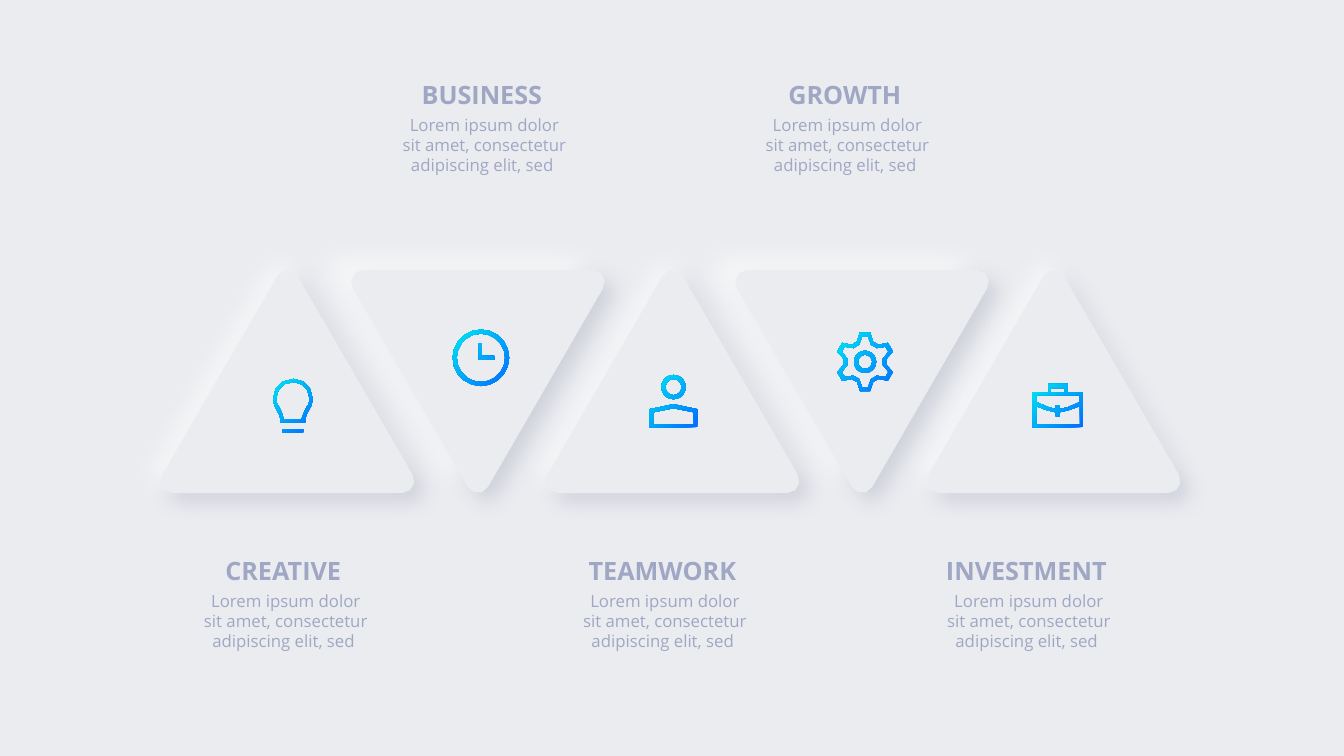
from dataclasses import dataclass
from math import cos, pi, sin
from typing import Any

from lxml.etree import SubElement
from pptx import Presentation
from pptx.dml.color import RGBColor
from pptx.enum.text import MSO_AUTO_SIZE, PP_ALIGN
from pptx.oxml.ns import qn
from pptx.util import Inches, Pt

Point = tuple[float, float]
Contour = list[Point]

BACKGROUND = "EBECF0"
TEXT_COLOR = "9FA7C4"
GRADIENT = ("006EFF", "00E6F2")
DESCRIPTION = "Lorem ipsum dolor sit amet, consectetur adipiscing elit, sed "
TRIANGLE_TOP, TRIANGLE_BOTTOM = 2.68, 4.89
CURVE_STEPS = 3
CIRCLE_STEPS = 20


@dataclass
class Shadow:
    color: str
    opacity: int
    blur: int
    distance: int
    angle: int


@dataclass
class Step:
    title: str
    text_left: float
    center: float
    points_up: bool
    icon: list[Contour]


DARK_SHADOW = Shadow("ACB0C0", 42, 14, 9, 45)
UP_LIGHT = Shadow("FFFFFF", 56, 17, 9, 225)
DOWN_LIGHT = Shadow("FFFFFF", 56, 18, 19, 210)


def rgb(color: str) -> RGBColor:
    return RGBColor.from_string(color)


def curve(*controls: Point) -> Contour:
    points = []
    for step in range(CURVE_STEPS + 1):
        t = step / CURVE_STEPS
        weights = ((1 - t) ** 3, 3 * t * (1 - t) ** 2, 3 * t * t * (1 - t), t ** 3)
        points.append((sum(w * x for w, (x, y) in zip(weights, controls)),
                       sum(w * y for w, (x, y) in zip(weights, controls))))
    return points


def joined_curves(*controls: Point) -> Contour:
    points = [controls[0]]
    for k in range(0, len(controls) - 1, 3):
        points += curve(*controls[k:k + 4])[1:]
    return points


def circle(x: float, y: float, radius: float) -> Contour:
    turns = [2 * pi * k / CIRCLE_STEPS for k in range(CIRCLE_STEPS)]
    return [(x + radius * cos(turn), y + radius * sin(turn)) for turn in turns]


def rectangle(left: float, top: float, right: float, bottom: float) -> Contour:
    return [(left, top), (right, top), (right, bottom), (left, bottom)]


def gear_outline(x: float, y: float, tooth: Contour) -> Contour:
    points = []
    for k in range(6):
        turn = k * pi / 3
        points += [(x + dx * cos(turn) - dy * sin(turn), y + dx * sin(turn) + dy * cos(turn))
                   for dx, dy in tooth]
    return points


def triangle(center: float, points_up: bool) -> Contour:
    right_corner = curve((1.24, 4.71), (1.29, 4.79), (1.23, 4.89), (1.14, 4.89))
    left_corner = [(-x, y) for x, y in reversed(right_corner)]
    apex = curve((-0.1, 2.74), (-0.06, 2.66), (0.06, 2.66), (0.1, 2.74))
    return [(center + x, y if points_up else TRIANGLE_TOP + TRIANGLE_BOTTOM - y)
            for x, y in apex + right_corner + left_corner]


def add_outline(shapes: Any, contours: list[Contour]) -> Any:
    builder = None
    for contour in contours:
        points = [(Inches(x), Inches(y)) for x, y in contour]
        if builder is None:
            builder = shapes.build_freeform(*points[0])
        else:
            builder.move_to(*points[0])
        builder.add_line_segments(points[1:], close=True)
    shape = builder.convert_to_shape()
    shape.line.fill.background()
    shape.shadow.inherit = False
    return shape


def add_shadow(shape: Any, shadow: Shadow) -> None:
    effects = shape._element.spPr.find(qn("a:effectLst"))
    outer = SubElement(effects, qn("a:outerShdw"), {
        "blurRad": str(Pt(shadow.blur)), "dist": str(Pt(shadow.distance)),
        "dir": str(shadow.angle * 60000), "algn": "ctr", "rotWithShape": "0"})
    color = SubElement(outer, qn("a:srgbClr"), {"val": shadow.color})
    SubElement(color, qn("a:alpha"), {"val": str(shadow.opacity * 1000)})


def add_triangle(page: Any, step: Step) -> None:
    group = page.shapes.add_group_shape()
    for shadow in (DARK_SHADOW, UP_LIGHT if step.points_up else DOWN_LIGHT):
        shape = add_outline(group.shapes, [triangle(step.center, step.points_up)])
        shape.fill.solid()
        shape.fill.fore_color.rgb = rgb(BACKGROUND)
        add_shadow(shape, shadow)


def add_icon(page: Any, icon: list[Contour]) -> None:
    shape = add_outline(page.shapes, icon)
    shape.fill.gradient()
    shape.fill.gradient_angle = 135
    for stop, color in zip(shape.fill.gradient_stops, GRADIENT):
        stop.color.rgb = rgb(color)


def add_text(page: Any, text: str, bounds: tuple[float, float, float, float],
             frame_format: dict[str, Any], font_format: dict[str, Any]) -> None:
    box = page.shapes.add_textbox(*(Inches(value) for value in bounds))
    for name, value in frame_format.items():
        setattr(box.text_frame, name, value)
    para = box.text_frame.paragraphs[0]
    para.alignment = PP_ALIGN.CENTER
    span = para.add_run()
    span.text = text
    for name, value in font_format.items():
        setattr(span.font, name, value)
    span.font.color.rgb = rgb(TEXT_COLOR)


TITLE_FRAME = {"word_wrap": False, "auto_size": MSO_AUTO_SIZE.SHAPE_TO_FIT_TEXT,
               "margin_left": 0, "margin_top": 0, "margin_right": 0, "margin_bottom": 0}
BODY_FRAME = {"word_wrap": True, "auto_size": MSO_AUTO_SIZE.SHAPE_TO_FIT_TEXT}
TITLE_FONT = {"name": "Open Sans", "size": Pt(18), "bold": True}
BODY_FONT = {"name": "Open Sans", "size": Pt(12)}

BULB = [
    rectangle(2.8, 4.26, 3.01, 4.29),
    [(3.03, 4.19), (2.78, 4.19)] + joined_curves(
        (2.78, 4.17), (2.78, 4.15), (2.78, 4.12), (2.74, 4.06), (2.72, 4.03), (2.71, 3.99),
        (2.71, 3.95), (2.71, 3.84), (2.8, 3.76), (2.91, 3.76), (3.01, 3.76), (3.1, 3.84),
        (3.1, 3.95), (3.1, 3.99), (3.09, 4.03), (3.07, 4.06), (3.03, 4.12), (3.03, 4.15),
        (3.03, 4.17)),
    joined_curves(
        (2.99, 4.16), (3, 4.13), (3.01, 4.1), (3.04, 4.04), (3.06, 4.02), (3.07, 3.99),
        (3.07, 3.95), (3.07, 3.86), (2.99, 3.79), (2.91, 3.79), (2.81, 3.79), (2.74, 3.86),
        (2.74, 3.95), (2.74, 3.99), (2.75, 4.02), (2.77, 4.04), (2.8, 4.1), (2.81, 4.13),
        (2.81, 4.16)),
]
CLOCK = [circle(4.77, 3.55, 0.28), circle(4.77, 3.55, 0.24),
         [(4.9, 3.57), (4.75, 3.57), (4.75, 3.41), (4.78, 3.41), (4.78, 3.53), (4.9, 3.53)]]
PERSON = [
    [(6.92, 4.06), (6.68, 4.01), (6.44, 4.06), (6.44, 4.24), (6.92, 4.24)],
    [(6.88, 4.21), (6.48, 4.21), (6.48, 4.09), (6.68, 4.05), (6.88, 4.09)],
    circle(6.68, 3.84, 0.12), circle(6.68, 3.84, 0.08),
]
GEAR = [
    gear_outline(8.58, 3.59, [(0.08, 0.2), (0.05, 0.29), (-0.05, 0.29), (-0.08, 0.2)]),
    gear_outline(8.58, 3.59, [(0.06, 0.17), (0.03, 0.25), (-0.03, 0.25), (-0.06, 0.17)]),
    circle(8.58, 3.59, 0.11), circle(8.58, 3.59, 0.07),
]
BRIEFCASE = [
    [(10.74, 3.89), (10.59, 3.89), (10.59, 3.81), (10.4, 3.81), (10.4, 3.89),
     (10.24, 3.89), (10.24, 4.24), (10.74, 4.24)],
    rectangle(10.42, 3.85, 10.56, 3.89),
    [(10.28, 3.92), (10.71, 3.92), (10.71, 3.99), (10.59, 4.04), (10.51, 4.06),
     (10.51, 4.02), (10.47, 4.02), (10.47, 4.06), (10.4, 4.04), (10.28, 3.99)],
    [(10.28, 4.21), (10.28, 4.03), (10.38, 4.07), (10.47, 4.09), (10.47, 4.13),
     (10.51, 4.13), (10.51, 4.09), (10.6, 4.07), (10.71, 4.03), (10.71, 4.21)],
]
STEPS = [Step("CREATIVE", 1.91, 2.85, True, BULB), Step("BUSINESS", 3.88, 4.74, False, CLOCK),
         Step("TEAMWORK", 5.67, 6.67, True, PERSON), Step("GROWTH", 7.48, 8.55, False, GEAR),
         Step("INVESTMENT", 9.28, 10.45, True, BRIEFCASE)]

deck = Presentation()
deck.slide_width, deck.slide_height = Inches(13.33), Inches(7.5)
page = deck.slides.add_slide(deck.slide_layouts[6])
page.background.fill.solid()
page.background.fill.fore_color.rgb = rgb(BACKGROUND)
for step in STEPS:
    add_triangle(page, step)
for step in STEPS:
    top = 5.51 if step.points_up else 0.79
    add_icon(page, step.icon)
    add_text(page, step.title, (step.text_left + 0.1, top, 1.6, 0.3), TITLE_FRAME, TITLE_FONT)
    add_text(page, DESCRIPTION, (step.text_left, top + 0.3, 1.85, 0.71), BODY_FRAME, BODY_FONT)
deck.save("out.pptx")
